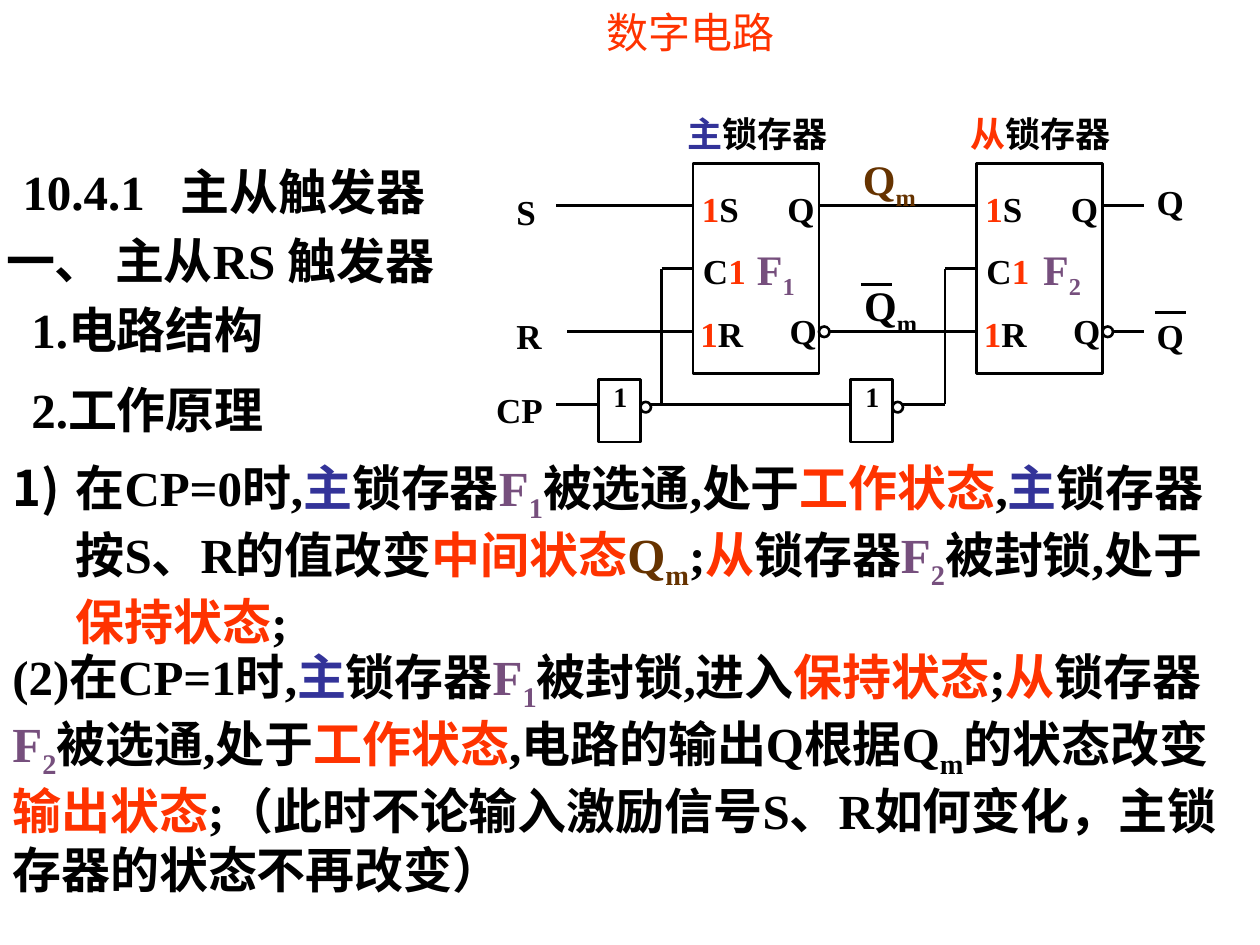
from dataclasses import dataclass

from lxml.etree import SubElement
from pptx import Presentation
from pptx.dml.color import RGBColor
from pptx.enum.shapes import MSO_CONNECTOR, MSO_SHAPE
from pptx.enum.text import MSO_ANCHOR, MSO_AUTO_SIZE, PP_ALIGN
from pptx.oxml.ns import qn
from pptx.util import Pt


@dataclass(frozen=True)
class Theme:
    black: str = "000000"
    red: str = "FF3300"
    blue: str = "333399"
    purple: str = "764F7D"
    brown: str = "663300"
    latin: str = "Times New Roman"
    chinese: str = "Noto Sans CJK SC"
    body: int = 28
    large: int = 24
    pin: int = 20
    gate: int = 16
    line: float = 1.5


theme = Theme()
box_heights = {theme.body: 41, theme.large: 40.3, theme.pin: 31.7, theme.gate: 26.6}

deck = Presentation()
deck.slide_width, deck.slide_height = Pt(720), Pt(540)
page = deck.slides.add_slide(deck.slide_layouts[1])
shapes = page.shapes


def write(para, spans, size, tabs=(), number=None):
    """Fill a paragraph with spans: plain text, or (text, colour, subscript)."""
    para.space_before = Pt(0)
    para.alignment = PP_ALIGN.LEFT
    props = para._p.get_or_add_pPr()
    if number:
        props.set("marL", str(Pt(36)))
        props.set("indent", str(Pt(-36)))
        SubElement(SubElement(props, qn("a:buClr")), qn("a:srgbClr"), val=theme.black)
        SubElement(props, qn("a:buFont"), typeface=theme.chinese)
        SubElement(props, qn("a:buAutoNum"), type=number)
    if tabs:
        stops = SubElement(props, qn("a:tabLst"))
        for stop in tabs:
            SubElement(stops, qn("a:tab"), pos=str(Pt(stop)), algn="l")
    para.font.name, para.font.size, para.font.bold = theme.latin, Pt(size), True
    for item in spans:
        text, colour, subscript = item if isinstance(item, tuple) else (item, theme.black, False)
        span = para.add_run()
        span.text = text
        span.font.color.rgb = RGBColor.from_string(colour)
        span_props = span._r.get_or_add_rPr()
        SubElement(span_props, qn("a:ea"), typeface=theme.chinese)
        if subscript:
            span_props.set("baseline", "-25000")


def wire(x1, y1, x2, y2):
    """Draw a straight black line."""
    line = shapes.add_connector(MSO_CONNECTOR.STRAIGHT, Pt(x1), Pt(y1), Pt(x2), Pt(y2))
    line.line.color.rgb = RGBColor.from_string(theme.black)
    line.line.width = Pt(theme.line)
    SubElement(line._element.spPr, qn("a:effectLst"))
    return line


# Spans used in several places
master, slave = ("主", theme.blue, False), ("从", theme.red, False)
first_latch = [("F", theme.purple, False), ("1", theme.purple, True)]
second_latch = [("F", theme.purple, False), ("2", theme.purple, True)]
middle_state = [("Q", theme.brown, False), ("m", theme.brown, True)]
working, holding = ("工作状态", theme.red, False), ("保持状态", theme.red, False)
red_one = ("1", theme.red, False)

# Title
title = shapes.title
title.left, title.top, title.width, title.height = Pt(292.3), Pt(0), Pt(204.5), Pt(43.2)
title.text_frame.vertical_anchor = MSO_ANCHOR.TOP
title.text_frame.auto_size = MSO_AUTO_SIZE.NONE
write(title.text_frame.paragraphs[0], [("数字电路", theme.red, False)], theme.large)
title.text_frame.paragraphs[0].alignment = PP_ALIGN.CENTER
title.text_frame.paragraphs[0].font.name = theme.chinese
title.text_frame.paragraphs[0].font.bold = False

# First operating phase, as a numbered list
phase = page.placeholders[1]
phase.left, phase.top, phase.width, phase.height = Pt(0), Pt(257.8), Pt(720), Pt(117.4)
phase.text_frame.vertical_anchor = MSO_ANCHOR.TOP
phase.text_frame.auto_size = MSO_AUTO_SIZE.NONE
write(phase.text_frame.paragraphs[0], [
    "在CP=0时,", master, "锁存器", *first_latch, "被选通,处于", working, ",", master,
    "锁存器按S、R的值改变", ("中间状态", theme.red, False), *middle_state, ";", slave,
    "锁存器", *second_latch, "被封锁,处于", holding, ";",
], theme.body, number="arabicParenR")

# Second operating phase
box = shapes.add_textbox(Pt(0), Pt(365.8), Pt(720), Pt(189.4))
box.text_frame.word_wrap = True
write(box.text_frame.paragraphs[0], [
    "(2)在CP=1时,", master, "锁存器", *first_latch, "被封锁,进入", holding, ";", slave,
    "锁存器\t", *second_latch, "被选通,处于", working, ",电路的输出Q根据Q",
    ("m", theme.black, True), "的状态改变\t", ("输出状态", theme.red, False),
    ";（此时不论输入激励信号S、R如何变化，主锁存器的状态不再改变）",
], theme.body, tabs=(227.5, 292))

# Headings and circuit labels: left, top, width, size, spans
labels = [
    (5.8, 88.6, 244.8, theme.body, ["10.4.1\t主从触发器"]),
    (-3.6, 128.2, 280, theme.body, ["一、 主从RS 触发器"]),
    (10.8, 167.8, 154, theme.body, ["1.电路结构"]),
    (10.8, 213.1, 154, theme.body, ["2.工作原理"]),
    (288, 105.1, 25.2, theme.pin, ["S"]),
    (288, 176.4, 28.8, theme.pin, ["R"]),
    (276.5, 218.2, 41, theme.pin, ["CP"]),
    (653.8, 99.4, 29.5, theme.pin, ["Q"]),
    (653.8, 176.4, 29.5, theme.pin, ["Q"]),
    (385.9, 60.5, 94.3, theme.pin, [master, "锁存器"]),
    (547.2, 60.5, 94.3, theme.pin, [slave, "锁存器"]),
    (425.5, 135.4, 36, theme.large, first_latch),
    (589, 135.4, 36, theme.large, second_latch),
    (486, 84.2, 44.6, theme.large, middle_state),
    (486.7, 156.2, 44.6, theme.large, ["Q", ("m", theme.black, True)]),
]

# Latches: pins, input and output wires
outlines = []
set_y, clock_y, reset_y = 117.6, 153.6, 189.6
for x, set_lead, reset_lead in ((396, 78, 72), (558, 72, 66)):
    latch = (MSO_SHAPE.RECTANGLE, x, 93.6, 72, 120)
    outlines += [latch, (MSO_SHAPE.OVAL, x + 72, reset_y - 3, 6, 6)]
    wire(x - set_lead, set_y, x, set_y)
    wire(x - reset_lead, reset_y, x, reset_y)
    wire(x + 72, set_y, x + 96, set_y)
    wire(x + 78, reset_y, x + 96, reset_y)
    labels += [
        (x - 2, 103.7, 38.9, theme.pin, [red_one, "S"]),
        (x - 1.4, 139, 38.9, theme.pin, ["C", red_one]),
        (x - 2.9, 175, 38.9, theme.pin, [red_one, "R"]),
        (x + 46.8, 103.7, 29.5, theme.pin, ["Q"]),
        (x + 48.2, 173.5, 29.5, theme.pin, ["Q"]),
    ]

# Inverters
for x in (342, 486):
    outlines += [(MSO_SHAPE.RECTANGLE, x, 216.7, 24, 36), (MSO_SHAPE.OVAL, x + 24, 229.7, 6, 6)]
    labels.append((x + 1.4, 213.1, 22.3, theme.gate, ["1"]))

# Outlined shapes; each latch takes its clock wire at the left side
for kind, x, y, width, height in outlines:
    shape = shapes.add_shape(kind, Pt(x), Pt(y), Pt(width), Pt(height))
    shape.shadow.inherit = False
    shape.fill.background()
    shape.line.color.rgb = RGBColor.from_string(theme.black)
    shape.line.width = Pt(theme.line)
    if height == 120:
        wire(x - 18, clock_y, x, clock_y).end_connect(shape, 1)

# Clock line and overbars
clock_line = 231.1
for ends in (
    (318, clock_line, 342, clock_line),
    (372, clock_line, 486, clock_line),
    (516, clock_line, 540, clock_line),
    (378, clock_y, 378, clock_line),
    (540, clock_y, 540, clock_line),
    (660, 178.6, 678, 178.6),
    (492, 162.7, 510, 162.7),
):
    wire(*ends)

# Labels
for x, y, width, size, spans in labels:
    box = shapes.add_textbox(Pt(x), Pt(y), Pt(width), Pt(box_heights[size]))
    box.text_frame.word_wrap = False
    box.text_frame.auto_size = MSO_AUTO_SIZE.SHAPE_TO_FIT_TEXT
    tabs = (90.5,) if "\t" in spans[0] else ()
    write(box.text_frame.paragraphs[0], spans, size, tabs)

deck.save("out.pptx")
